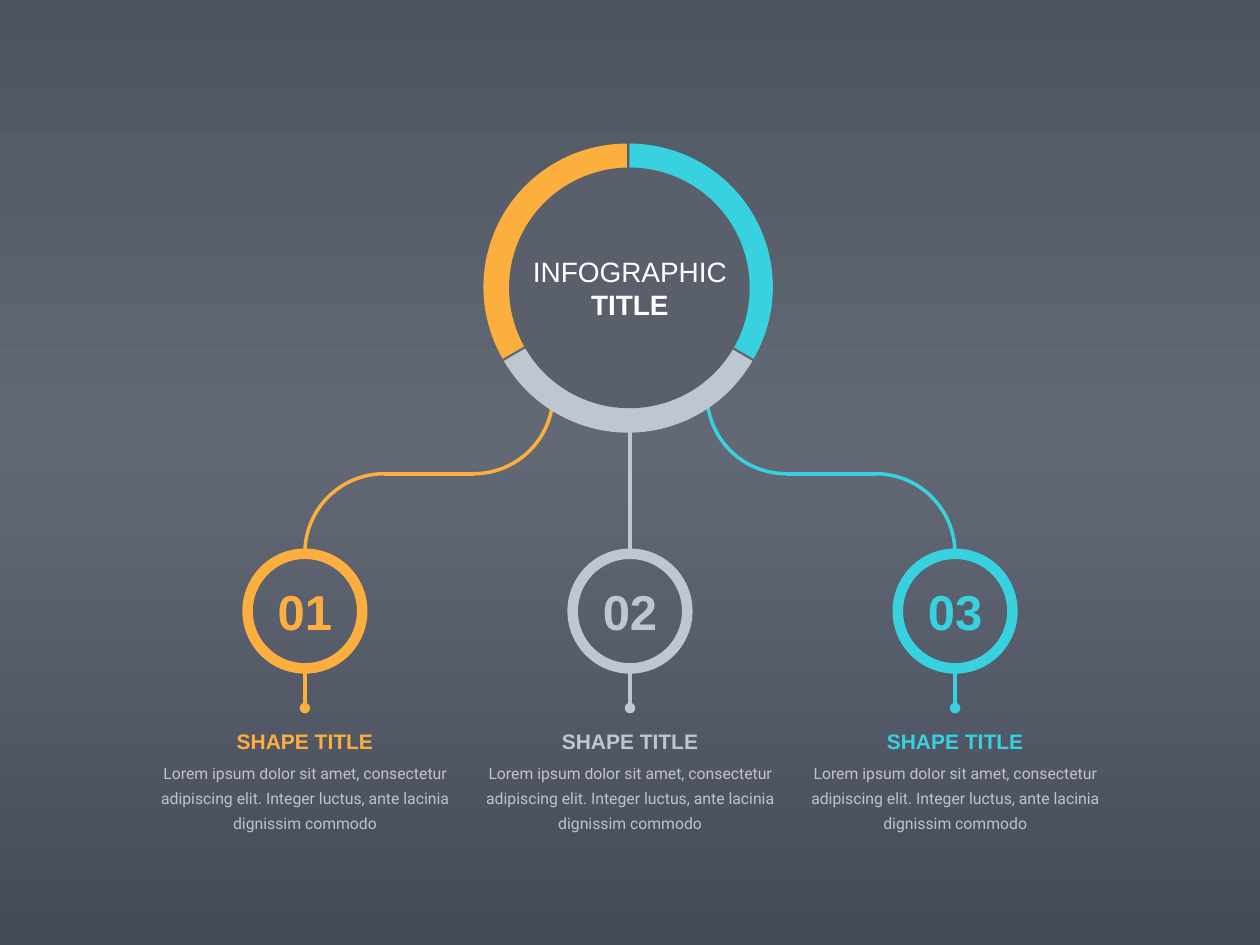
from copy import deepcopy

from lxml import etree
from pptx import Presentation
from pptx.chart.data import CategoryChartData
from pptx.dml.color import RGBColor
from pptx.enum import chart as ch, shapes, text
from pptx.oxml.ns import qn
from pptx.util import Inches, Pt

ORANGE = RGBColor(0xFC, 0xAF, 0x3E)
SILVER = RGBColor(0xBE, 0xC6, 0xD0)
CYAN = RGBColor(0x38, 0xD1, 0xDF)
WHITE = RGBColor(0xFF, 0xFF, 0xFF)
BLACK = RGBColor(0, 0, 0)
DISC = RGBColor(0x5A, 0x5F, 0x6C)
GRADIENT = [
    (0, RGBColor(0x4F, 0x54, 0x61)),
    (0.46, RGBColor(0x63, 0x68, 0x75)),
    (1, RGBColor(0x45, 0x4C, 0x59)),
]
BODY = ("Lorem ipsum dolor sit amet, consectetur adipiscing elit. "
        "Integer luctus, ante lacinia dignissim commodo")
ITEMS = [("01", ORANGE), ("02", SILVER), ("03", CYAN)]
PITCH = 2.58


def add_background(s):
    """Fill the slide with a three-stop vertical gradient."""
    fill = s.background.fill
    fill.gradient()
    fill.gradient_angle = 270
    stops = next(s.element.iter(qn("a:gsLst")))
    stops.insert(1, deepcopy(stops[0]))
    for stop, (position, color) in zip(fill.gradient_stops, GRADIENT):
        stop.position = position
        stop.color.rgb = color


def add_line(s, x1, y1, x2, y2, color, dot=False):
    """Draw a straight line, optionally ending in a dot."""
    c = s.shapes.add_connector(shapes.MSO_CONNECTOR.STRAIGHT,
                               Inches(x1), Inches(y1), Inches(x2), Inches(y2))
    c.line.color.rgb = color
    c.line.width = Pt(2)
    if dot:
        etree.SubElement(c.line._get_or_add_ln(), qn("a:tailEnd"), type="oval")
    etree.SubElement(c._element.spPr, qn("a:effectLst"))


def add_outline(s, kind, cx, cy, size, color, width):
    """Draw an unfilled shape centred on a point."""
    sp = s.shapes.add_shape(kind, Inches(cx - size / 2), Inches(cy - size / 2),
                            Inches(size), Inches(size))
    sp.shadow.inherit = False
    sp.fill.background()
    sp.line.color.rgb = color
    sp.line.width = Pt(width)
    return sp


def add_text(sp, runs, size, color, font="Arial", inset=0):
    """Write centred (text, bold) runs into a shape."""
    tf = sp.text_frame
    tf.word_wrap = True
    tf.vertical_anchor = text.MSO_ANCHOR.MIDDLE
    tf.margin_left = tf.margin_right = tf.margin_bottom = 0
    tf.margin_top = Inches(inset)
    p = tf.paragraphs[0]
    p.alignment = text.PP_ALIGN.CENTER
    for words, bold in runs:
        r = p.add_run()
        r.text = words
        r.font.name = font
        r.font.size = Pt(size)
        r.font.bold = bold
        r.font.color.rgb = color
    return tf


def add_item(s, cx, top, number, color):
    """Place a numbered ring with its pin, title and body."""
    ring = add_outline(s, shapes.MSO_SHAPE.OVAL, cx, top + 0.45, 0.91, color, 6)
    add_text(ring, [(number, True)], 28, color)
    add_line(s, cx, top + 0.9, cx, top + 1.22, color, dot=True)
    width = 2.39
    left = cx - width / 2
    title = s.shapes.add_textbox(Inches(left), Inches(top + 1.22),
                                 Inches(width), Inches(0.36))
    add_text(title, [("SHAPE TITLE", True)], 12, color, inset=0.16)
    body = s.shapes.add_textbox(Inches(left), Inches(top + 1.62),
                                Inches(width), Inches(0.57))
    tf = add_text(body, [(BODY, False)], 9, WHITE, font="Roboto")
    tf.vertical_anchor = text.MSO_ANCHOR.TOP
    tf.paragraphs[0].line_spacing = 1.3
    rgb = next(body._element.iter(qn("a:srgbClr")))
    etree.SubElement(rgb, qn("a:alpha"), val="65000")


def add_branch(s, cx, y, side, color):
    """Draw a curved branch to the left (-1) or right (1) of the hub."""
    arc = shapes.MSO_SHAPE.ARC
    size = 1.26
    lower = add_outline(s, arc, cx + 1.95 * side, y + size / 2, size, color, 2)
    upper = add_outline(s, arc, cx + 1.24 * side, y - size / 2, size, color, 2)
    upper.rotation = 180
    if side < 0:
        for sp in (lower, upper):
            sp._element.spPr.xfrm.set("flipH", "1")
    add_line(s, cx + 1.24 * side, y, cx + 1.95 * side, y, color)


def set_plot_layout(chart, x, y, w, h):
    """Fix the inner plot area as fractions of the chart box."""
    area = next(chart.element.iter(qn("c:plotArea")))
    layout = area.find(qn("c:layout"))
    if layout is None:
        layout = etree.Element(qn("c:layout"))
        area.insert(0, layout)
    manual = etree.SubElement(layout, qn("c:manualLayout"))
    for tag, val in [("layoutTarget", "inner"), ("xMode", "edge"), ("yMode", "edge"),
                     ("x", x), ("y", y), ("w", w), ("h", h)]:
        etree.SubElement(manual, qn("c:" + tag), val=str(val))


def add_hub(s, left, top):
    """Place the three-part ring with the main title."""
    data = CategoryChartData()
    data.categories = ["1", "2", "3"]
    data.add_series("Series 1", (33, 33, 33))
    chart = s.shapes.add_chart(ch.XL_CHART_TYPE.PIE, Inches(left), Inches(top),
                               Inches(2.84), Inches(2.57), data).chart
    chart.has_legend = False
    chart.has_title = False
    chart.font.name = "Arial"
    chart.font.size = Pt(10)
    chart.font.color.rgb = BLACK
    set_plot_layout(chart, 0.09, 0.05, 0.81, 0.9)
    series = chart.plots[0].series[0]
    for i, color in enumerate((CYAN, SILVER, ORANGE)):
        fmt = series.points[i].format
        fmt.fill.solid()
        fmt.fill.fore_color.rgb = color
        fmt.line.fill.background()
    explosion = etree.Element(qn("c:explosion"), val="1")
    series._element.find(qn("c:dPt")).addprevious(explosion)

    disc = s.shapes.add_shape(shapes.MSO_SHAPE.OVAL, Inches(left + 0.46),
                              Inches(top + 0.33), Inches(1.91), Inches(1.91))
    disc.shadow.inherit = False
    disc.fill.solid()
    disc.fill.fore_color.rgb = DISC
    disc.line.fill.background()
    title = s.shapes.add_textbox(Inches(left + 0.5), Inches(top + 1.03),
                                 Inches(1.84), Inches(0.51))
    add_text(title, [("INFOGRAPHIC", False), (" TITLE", True)], 16, WHITE)


prs = Presentation()
prs.slide_width, prs.slide_height = Inches(10), Inches(7.5)
s = prs.slides.add_slide(prs.slide_layouts[6])
add_background(s)
for i, (number, color) in enumerate(ITEMS):
    add_item(s, 5 + PITCH * (i - 1), 4.4, number, color)
add_branch(s, 5, 3.76, -1, ORANGE)
add_branch(s, 5, 3.76, 1, CYAN)
add_line(s, 5, 3.24, 5, 4.4, SILVER)
add_hub(s, 3.58, 1)
prs.save("out.pptx")
